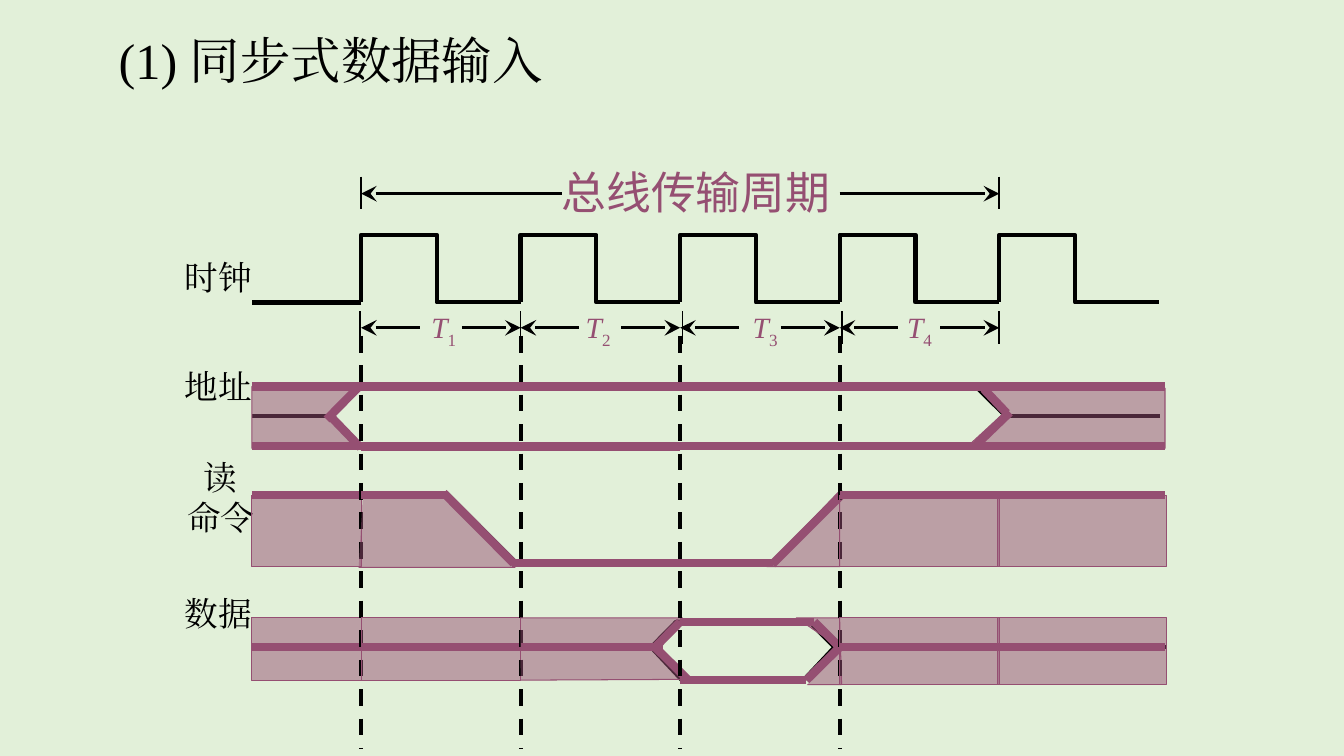
from typing import NamedTuple

from lxml import etree
from pptx import Presentation
from pptx import util as u
from pptx.dml.color import RGBColor
from pptx.enum import dml, shapes, text
from pptx.oxml import ns

BLACK = RGBColor(0x00, 0x00, 0x00)
PLUM = RGBColor(0x95, 0x4F, 0x72)
PALE_GREEN = RGBColor(0xE2, 0xF0, 0xD9)
SERIF = "Times New Roman"
SANS = "Noto Sans CJK SC"

# Horizontal grid and signal levels, in centimetres
PERIOD = 4.02
EDGES = [round(9.1 + PERIOD * i, 2) for i in range(5)]
T1, T2, T3, T4, END = EDGES
LEFT, SPLIT, RIGHT = 6.35, 19.48, 29.36
CLOCK_HIGH, CLOCK_LOW = 5.92, 7.62
ADDRESS_TOP, ADDRESS_MIDDLE, ADDRESS_BOTTOM = 9.74, 10.49, 11.24
COMMAND_HIGH, COMMAND_LOW, COMMAND_BASE = 12.48, 14.18, 14.28
DATA_TOP, DATA_HIGH, DATA_MIDDLE, DATA_LOW = 15.57, 15.67, 16.31, 17.14

Point = tuple[float, float]


class Stroke(NamedTuple):
    start: Point
    end: Point
    color: RGBColor = PLUM
    width: float = 6
    head: bool = False
    tail: bool = False
    dashed: bool = False


class Band(NamedTuple):
    left: float
    top: float
    right: float
    bottom: float


class Outline(NamedTuple):
    points: list[Point]
    closed: bool = False


class Label(NamedTuple):
    words: str
    left: float
    top: float
    width: float
    height: float
    indent: float = 0.21


class Stage(NamedTuple):
    """A stretch of the diagram; divider is the dashed line that ends it."""
    start: float
    end: float
    areas: list[Band | Outline]
    strokes: list[Stroke]
    divider: bool = True


def level(start: float, end: float, height: float, color: RGBColor = PLUM,
          width: float = 6) -> Stroke:
    return Stroke((start, height), (end, height), color, width)


def draw_stroke(slide, stroke: Stroke) -> None:
    ends = [u.Cm(value) for value in (*stroke.start, *stroke.end)]
    connector = slide.shapes.add_connector(shapes.MSO_CONNECTOR.STRAIGHT, *ends)
    connector.line.color.rgb = stroke.color
    connector.line.width = u.Pt(stroke.width)
    if stroke.dashed:
        connector.line.dash_style = dml.MSO_LINE.DASH
    line = connector.line._get_or_add_ln()
    for wanted, tag in ((stroke.head, "a:headEnd"), (stroke.tail, "a:tailEnd")):
        if wanted:
            etree.SubElement(line, ns.qn(tag), type="stealth", w="lg", len="lg")
    etree.SubElement(connector._element.spPr, ns.qn("a:effectLst"))


def add_outline(slide, outline: Outline):
    points = [(u.Cm(x), u.Cm(y)) for x, y in outline.points]
    builder = slide.shapes.build_freeform(*points[0], scale=1.0)
    builder.add_line_segments(points[1:], close=outline.closed)
    return builder.convert_to_shape()


def draw_trace(slide, outline: Outline, width: float = 3) -> None:
    """Draw an unfilled black signal."""
    shape = add_outline(slide, outline)
    shape.shadow.inherit = False
    shape.fill.background()
    shape.line.color.rgb = BLACK
    shape.line.width = u.Pt(width)


def draw_area(slide, area: Band | Outline) -> None:
    """Draw a half transparent plum area."""
    if isinstance(area, Band):
        frame = (area.left, area.top, area.right - area.left, area.bottom - area.top)
        shape = slide.shapes.add_shape(shapes.MSO_SHAPE.RECTANGLE, *map(u.Cm, frame))
    else:
        shape = add_outline(slide, area)
    shape.shadow.inherit = False
    shape.fill.solid()
    shape.fill.fore_color.rgb = PLUM
    color = shape._element.spPr.find(ns.qn("a:solidFill"))[0]
    etree.SubElement(color, ns.qn("a:alpha"), val="50000")
    shape.line.color.rgb = PLUM
    shape.line.width = u.Pt(0.75)


def format_run(run, size: float, color: RGBColor, name: str = SERIF) -> None:
    run.font.size = u.Pt(size)
    run.font.color.rgb = color
    run.font.name = name
    etree.SubElement(run._r.get_or_add_rPr(), ns.qn("a:ea"), typeface=name)


def add_text(slide, label: Label, size: float, color: RGBColor, name: str = SERIF,
             margins: Point = (0, 0), wrap: bool = True):
    """Add a text box; margins are its right and its vertical inset."""
    frame = map(u.Cm, (label.left, label.top, label.width, label.height))
    text_frame = slide.shapes.add_textbox(*frame).text_frame
    text_frame.word_wrap = wrap
    text_frame.auto_size = text.MSO_AUTO_SIZE.SHAPE_TO_FIT_TEXT
    text_frame.margin_left = u.Cm(label.indent)
    text_frame.margin_right = u.Cm(margins[0])
    text_frame.margin_top = text_frame.margin_bottom = u.Cm(margins[1])
    text_frame.text = label.words
    for paragraph in text_frame.paragraphs:
        for run in paragraph.runs:
            format_run(run, size, color, name)
    return text_frame


def draw_clock(slide) -> None:
    draw_stroke(slide, level(T1, LEFT, CLOCK_LOW, BLACK, 3))
    for edge in EDGES:
        fall = edge + 1.91
        draw_trace(slide, Outline([(edge, CLOCK_LOW), (edge, CLOCK_HIGH), (fall, CLOCK_HIGH),
                                   (fall, CLOCK_LOW), (edge + PERIOD, CLOCK_LOW)]))


def draw_dimensions(slide) -> None:
    """Draw the bus cycle and its four numbered periods."""
    ticks = [(T1, 4.45), (END, 4.45)]
    ticks += [(x, 7.84) for x in (9.07, T2, 17.2, 21.21, 25.18)]
    for x, top in ticks:
        draw_stroke(slide, Stroke((x, top), (x, top + 0.82), BLACK, 1.25))
    arrows = [(T1, 14.17, 4.88, True), (T4, END, 4.88, False)]
    for edge in EDGES[:-1]:
        arrows.append((edge, edge + 1.48, 8.26, True))
        arrows.append((edge + PERIOD - 1.48, edge + PERIOD, 8.26, False))
    for start, end, height, at_start in arrows:
        draw_stroke(slide, Stroke((start, height), (end, height), BLACK, 2.25,
                                  head=at_start, tail=not at_start))
    add_text(slide, Label("总线传输周期", 14.15, 4.14, 6.83, 1.37, 0), 32, PLUM, SANS, wrap=False)
    for number, left in enumerate((10.87, 14.76, 18.97, 22.86), 1):
        text_frame = add_text(slide, Label("T", left, 7.8, 0.66, 0.89, 0), 21, PLUM, wrap=False)
        paragraph = text_frame.paragraphs[0]
        paragraph.runs[0].font.italic = True
        subscript = paragraph.add_run()
        subscript.text = str(number)
        format_run(subscript, 21, PLUM)
        subscript._r.get_or_add_rPr().set("baseline", "-25000")


BLACK_STROKES = [
    level(LEFT, 11.28, COMMAND_HIGH, BLACK, 3),
    Stroke((13.03, 14.2), (11.25, 12.42), BLACK, 3),
    Stroke((21.26, 12.4), (19.53, 14.13), BLACK, 3),
    level(12.98, 19.53, 14.15, BLACK, 3),
    level(21.23, 29.31, COMMAND_HIGH, BLACK, 3),
    level(8.46, LEFT, ADDRESS_MIDDLE, BLACK, 3),
    level(25.4, 29.24, ADDRESS_MIDDLE, BLACK, 3),
    level(LEFT, 16.41, DATA_MIDDLE, BLACK, 3),
    level(21.03, 29.41, DATA_MIDDLE, BLACK, 3),
]
ADDRESS_CELL = Outline([(T1, 9.74), (8.33, 10.49), (T1, 11.25), (24.59, 11.25),
                        (25.35, 10.49), (24.59, 9.74)], True)
DATA_CELL = Outline([(16.41, 16.31), (17.04, 15.67), (20.4, 15.67), (21.03, 16.31),
                     (20.27, 17.12), (17.17, 17.12)], True)

STAGES = [
    Stage(LEFT, T1,
          [Band(LEFT, COMMAND_HIGH, T1, COMMAND_BASE), Band(LEFT, DATA_TOP, T1, DATA_LOW),
           Outline([(8.36, 10.59), (8.92, 9.75), (LEFT, 9.74), (LEFT, 11.3), (9.04, 11.3)])],
          [level(LEFT, T1, COMMAND_HIGH), level(LEFT, T1, DATA_MIDDLE),
           Stroke((9.09, 11.28), (8.28, 10.44)), Stroke((9.04, 9.75), (8.23, 10.57))]),
    Stage(T1, T2,
          [Outline([(9.04, 14.3), (12.98, 14.3), (11.25, 12.5), (9.14, 12.55)]),
           Band(T1, DATA_TOP, T2, DATA_LOW)],
          [level(T1, T2, 9.78, width=3), level(T1, T2, 11.3, width=3),
           level(T1, 11.23, COMMAND_HIGH), level(T1, T2, DATA_MIDDLE),
           Stroke((12.95, 14.2), (11.18, 12.42))]),
    Stage(T2, T3,
          [Outline([(13.11, 15.57), (17.2, 15.57), (16.51, 16.31), (17.2, 17.12), (T2, 17.14)])],
          [level(T2, T3, 9.78, width=3), level(T2, T3, 11.3, width=3),
           level(T2, 16.71, DATA_MIDDLE), level(12.9, 17.27, COMMAND_LOW),
           Stroke((16.51, DATA_MIDDLE), (T3, DATA_HIGH)),
           Stroke((16.51, DATA_MIDDLE), (17.35, DATA_LOW))]),
    Stage(T3, SPLIT, [],
          [level(T3, SPLIT, height) for height in (COMMAND_LOW, DATA_HIGH, DATA_LOW)]
          + [Stroke((21.23, 12.45), (19.46, 14.22))], divider=False),
    Stage(SPLIT, T4,
          [Outline([(19.33, COMMAND_BASE), (T4, COMMAND_BASE), (T4, 12.37)], True),
           Outline([(T4, 16.31), (20.07, 15.57), (T4, 15.57), (21.21, 17.25), (20.35, 17.25)])],
          [Stroke((20.32, DATA_LOW), (T4, DATA_MIDDLE)),
           Stroke((20.52, DATA_HIGH), (T4, DATA_MIDDLE)),
           level(SPLIT, 20.52, DATA_HIGH), level(19.25, 20.32, DATA_LOW)]),
    Stage(T4, END,
          [Band(T4, COMMAND_HIGH, END, COMMAND_BASE), Band(T4, DATA_TOP, END, 17.25)],
          [level(T4, END, COMMAND_HIGH), level(T4, END, DATA_MIDDLE),
           Stroke((25.45, 10.39), (24.61, 11.2)), Stroke((25.37, 10.41), (24.79, 9.8))],
          divider=False),
    Stage(25.15, RIGHT,
          [Outline([(24.71, 9.74), (RIGHT, 9.78), (RIGHT, 11.3), (24.33, 11.3), (25.35, 10.36)]),
           Band(25.15, COMMAND_HIGH, 29.39, COMMAND_BASE), Band(25.15, DATA_TOP, 29.39, 17.25)],
          [level(25.15, RIGHT, COMMAND_HIGH), level(25.15, RIGHT, DATA_MIDDLE)], divider=False),
]


def draw_stage(slide, stage: Stage) -> None:
    for area in stage.areas:
        draw_area(slide, area)
    rails = [level(stage.start, stage.end, height) for height in (ADDRESS_TOP, ADDRESS_BOTTOM)]
    for stroke in rails + stage.strokes:
        draw_stroke(slide, stroke)
    if stage.divider:
        draw_stroke(slide, Stroke((stage.end, 8.46), (stage.end, 18.85), BLACK, 3, dashed=True))


def main() -> None:
    presentation = Presentation()
    presentation.slide_width, presentation.slide_height = u.Cm(33.87), u.Cm(19.05)
    slide = presentation.slides.add_slide(presentation.slide_layouts[6])
    slide.background.fill.solid()
    slide.background.fill.fore_color.rgb = PALE_GREEN

    add_text(slide, Label("(1) 同步式数据输入", 2.74, 0.61, 29.59, 1.8, 0.25), 36, BLACK,
             margins=(0.25, 0.13))
    for stroke in BLACK_STROKES:
        draw_stroke(slide, stroke)
    for cell in (ADDRESS_CELL, DATA_CELL):
        draw_trace(slide, cell)
    for words, top in (("时钟", 6.35), ("地址", 9.09), ("数据", 14.81)):
        add_text(slide, Label(words, 4.45, top, 2.54, 1.27), 24, BLACK, margins=(0.25, 0.13))
    command = add_text(slide, Label("读\n命令", 4.72, 11.38, 2.54, 2.31, 0), 24, BLACK,
                       margins=(0.25, 0.13))
    command.paragraphs[0]._p.get_or_add_pPr().set("marL", str(u.Cm(0.42)))
    draw_clock(slide)
    draw_dimensions(slide)
    for stage in STAGES:
        draw_stage(slide, stage)
    presentation.save("out.pptx")


if __name__ == "__main__":
    main()
